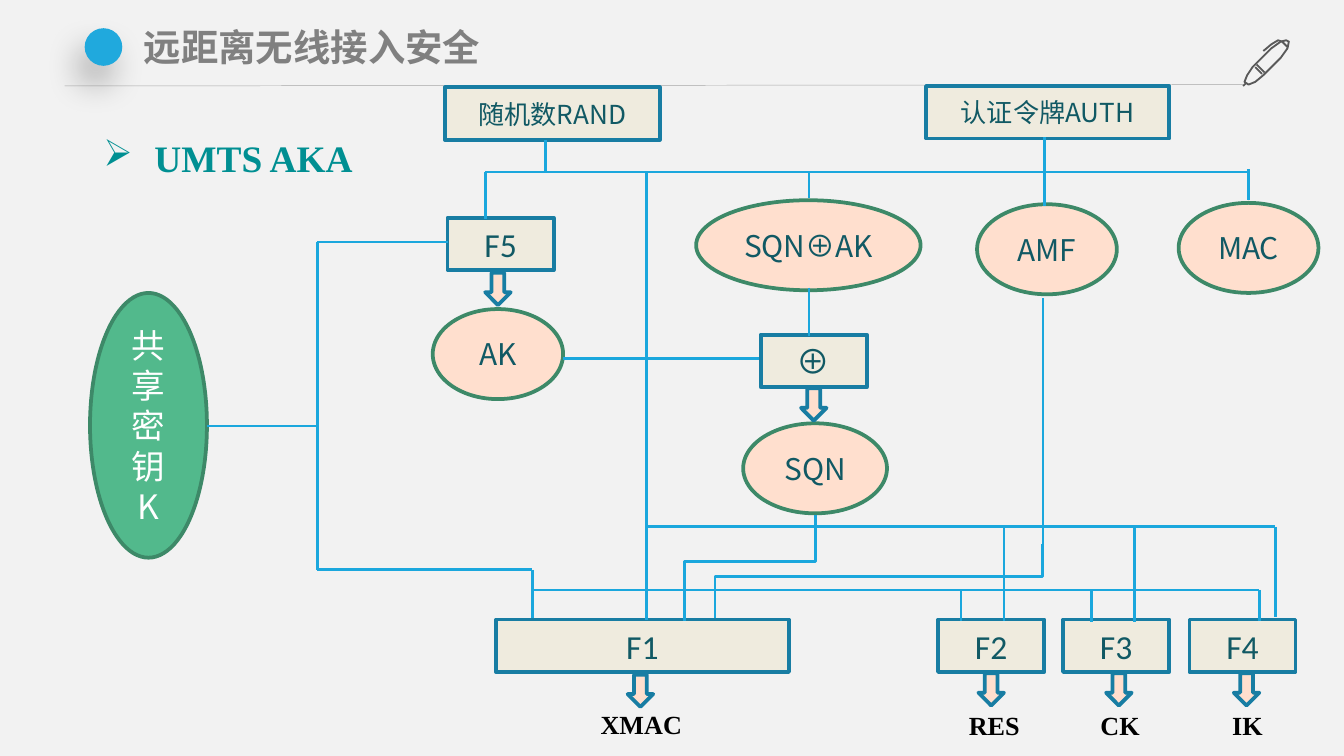
from lxml import etree
from pptx import Presentation
from pptx import util as u
from pptx.dml.color import RGBColor
from pptx.enum import shapes, text
from pptx.oxml import parse_xml
from pptx.oxml.ns import nsdecls, qn

SANS, SERIF, LATIN = "Noto Sans CJK SC", "Times New Roman", "Calibri"
WIRE, INK, PEACH, SAND = "1BA7DD", "115964", "FFDFCE", "EFEBDE"
GREEN, BLUE = "3D8968", "187DA3"
ELLIPSE, RECT, ARROW = (shapes.MSO_SHAPE.OVAL, shapes.MSO_SHAPE.RECTANGLE,
                        shapes.MSO_SHAPE.DOWN_ARROW)


def rgb(value):
    """Turn a hex string into a colour."""
    return RGBColor.from_string(value)


def inches(*values):
    """Turn numbers into lengths."""
    return [u.Inches(v) for v in values]


def apply(obj, values):
    """Set each attribute named in a dict."""
    for name, value in values.items():
        setattr(obj, name, value)


def write(tf, lines, size, face, color, bold=False, align=None):
    """Fill a text frame with paragraphs of one format."""
    for i, line in enumerate(lines):
        p = tf.paragraphs[0] if i == 0 else tf.add_paragraph()
        p.alignment = align
        r = p.add_run()
        r.text = line
        apply(r.font, {"size": u.Pt(size), "name": face, "bold": bold})
        r.font.color.rgb = rgb(color)
        etree.SubElement(r.font._element, qn("a:ea"), typeface=face)


def add_node(s, kind, box, fill, line=None, lines=(), size=16, face=SANS, color=INK):
    """Add a filled shape with centred text."""
    sp = s.shapes.add_shape(kind, *inches(*box))
    sp.shadow.inherit = False
    sp.fill.solid()
    sp.fill.fore_color.rgb = rgb(fill)
    if line:
        sp.line.color.rgb = rgb(line)
        sp.line.width = u.Pt(2)
    else:
        sp.line.fill.background()
    sp.text_frame.vertical_anchor = text.MSO_ANCHOR.MIDDLE
    write(sp.text_frame, lines, size, face, color, align=text.PP_ALIGN.CENTER)
    return sp


def add_label(s, box, label, size, color, wrap):
    """Add a bold serif text box."""
    tf = s.shapes.add_textbox(*inches(*box)).text_frame
    apply(tf, {"word_wrap": wrap, "auto_size": text.MSO_AUTO_SIZE.SHAPE_TO_FIT_TEXT})
    write(tf, [label], size, SERIF, color, bold=True)
    return tf


def add_wire(s, x1, y1, x2, y2, color=WIRE, width=1.5,
             kind=shapes.MSO_CONNECTOR.STRAIGHT):
    """Add a connector between two points."""
    sp = s.shapes.add_connector(kind, *inches(x1, y1, x2, y2))
    sp.line.color.rgb = rgb(color)
    sp.line.width = u.Pt(width)
    etree.SubElement(sp._element.spPr, qn("a:effectLst"))
    return sp


def add_elbow(s, x1, y1, x2, y2, bend):
    """Add an elbow that rises from its start, with its box turned a quarter."""
    cx, cy, dx, dy = (x1 + x2) / 2, (y1 + y2) / 2, (x2 - x1) / 2, (y1 - y2) / 2
    sp = add_wire(s, cx + dy, cy + dx, cx - dy, cy - dx,
                  kind=shapes.MSO_CONNECTOR.ELBOW)
    sp._element.spPr.find(qn("a:xfrm")).set("rot", "5400000")
    guides = sp._element.spPr.find(qn("a:prstGeom")).find(qn("a:avLst"))
    etree.SubElement(guides, qn("a:gd"), name="adj1", fmla=f"val {round(bend * 100000)}")


def add_pen(s):
    """Add the pen outline, drawn in hundredths of an inch."""
    strokes = [
        [(939, 55), (934, 50)],
        [(935, 48), (941, 54)],
        [(959, 31), (957, 30), (953, 31), (946, 36), (939, 43), (932, 50),
         (928, 56), (926, 61), (929, 63), (934, 61), (940, 56), (946, 50),
         (953, 43), (958, 36), (959, 31)],
        [(927, 62), (925, 64)],
        [(958, 35), (954, 31), (951, 30), (946, 33), (940, 38)],
    ]
    pen = s.shapes.build_freeform(*strokes[0][0], scale=u.Inches(0.01))
    for i, stroke in enumerate(strokes):
        if i:
            pen.move_to(*stroke[0])
        pen.add_line_segments(stroke[1:], close=False)
    sp = pen.convert_to_shape()
    sp.shadow.inherit = False
    sp.fill.background()
    sp.line.color.rgb = rgb("595959")
    sp.line.width = u.Pt(1)


def add_header(s):
    """Format the title and add the header decoration."""
    title = s.shapes.title
    apply(title, dict(zip(("left", "top", "width", "height"),
                          inches(0.98, 0.14, 8.27, 0.43))))
    tf = title.text_frame
    apply(tf, {"vertical_anchor": text.MSO_ANCHOR.TOP, "word_wrap": True,
               "auto_size": text.MSO_AUTO_SIZE.NONE,
               "margin_left": u.Inches(0.09), "margin_right": u.Inches(0.09),
               "margin_top": u.Inches(0.04), "margin_bottom": u.Inches(0.04)})
    write(tf, ["远距离无线接入安全"], 20, SANS, "808080", True, text.PP_ALIGN.LEFT)
    add_wire(s, 0.48, 0.64, 9.25, 0.63, "A6A6A6", 0.25)
    add_pen(s)
    dot = add_node(s, ELLIPSE, (0.63, 0.21, 0.28, 0.28), "20A9DD")
    dot._element.spPr.find(qn("a:effectLst")).append(parse_xml(
        f'<a:outerShdw {nsdecls("a")} blurRad="228600" dist="139700" dir="6780000">'
        '<a:srgbClr val="000000"><a:alpha val="27000"/></a:srgbClr></a:outerShdw>'))


def add_topic(s):
    """Add the bulleted topic line."""
    p = add_label(s, (0.67, 0.86, 8.98, 1.51), "UMTS AKA", 20, "008F92", True).paragraphs[0]
    apply(p, {"line_spacing": 1.3, "space_after": u.Pt(3)})
    pPr = p._p.get_or_add_pPr()
    pPr.set("marL", str(u.Inches(0.38)))
    pPr.set("indent", str(u.Inches(-0.38)))
    etree.SubElement(pPr, qn("a:buChar"), char="➢")


def add_nodes(s):
    """Add the key, fields, functions, flow arrows and output labels."""
    add_node(s, ELLIPSE, (0.67, 2.18, 0.87, 1.97), "52B98C", GREEN,
             ["共享密钥", "K"], 18, color="FFFFFF")
    for name, x, y, w in [("AK", 3.22, 2.3, 0.97), ("SQN⊕AK", 5.18, 1.49, 1.67),
                          ("AMF", 7.27, 1.52, 1.04), ("MAC", 8.77, 1.51, 1.04),
                          ("SQN", 5.53, 3.15, 1.07)]:
        add_node(s, ELLIPSE, (x, y, w, 0.67), PEACH, GREEN, [name])
    for name, x, y, w, size, face in [
            ("F5", 3.33, 1.62, 0.79, 18, LATIN), ("⊕", 5.66, 2.49, 0.79, 18, SANS),
            ("F1", 3.69, 4.61, 2.18, 18, LATIN), ("F2", 6.98, 4.61, 0.79, 18, LATIN),
            ("F3", 7.91, 4.61, 0.79, 18, LATIN), ("F4", 8.85, 4.61, 0.79, 18, LATIN),
            ("随机数RAND", 3.31, 0.65, 1.6, 14, SANS),
            ("认证令牌AUTH", 6.89, 0.64, 1.81, 14, SANS)]:
        add_node(s, RECT, (x, y, w, 0.39), SAND, BLUE, [name], size, face)
    for x, y in [(3.61, 2.03), (5.96, 2.89), (4.67, 5.02),
                 (7.28, 5.01), (8.23, 5.01), (9.18, 5.01)]:
        add_node(s, ARROW, (x, y, 0.19, 0.24), PEACH, BLUE)
    for name, x, y, w in [("XMAC", 4.37, 5.22, 0.81), ("RES", 7.11, 5.23, 0.58),
                          ("CK", 8.09, 5.23, 0.5), ("IK", 9.07, 5.23, 0.43)]:
        add_label(s, (x, y, w, 0.34), name, 14, "000000", False)


def add_wires(s):
    """Connect the nodes with buses, drops and elbows."""
    for y, x1, x2 in [(1.28, 3.61, 9.29), (1.8, 3.33, 2.36), (2.67, 4.19, 5.65),
                      (3.17, 2.36, 1.54), (3.92, 4.81, 9.49), (4.24, 3.96, 2.36),
                      (4.39, 3.96, 9.37)]:
        add_wire(s, x1, y, x2, y)
    for x, y1, y2 in [(2.36, 1.8, 4.24), (4.81, 1.28, 4.61), (4.06, 1.04, 1.28),
                      (3.61, 1.28, 1.63), (6.02, 1.28, 1.47), (6.02, 2.14, 2.5),
                      (7.77, 1.02, 1.53), (9.29, 1.26, 1.49), (7.76, 2.22, 4.11),
                      (3.96, 4.24, 4.6), (7.15, 4.39, 4.62), (8.12, 4.39, 4.63),
                      (9.37, 4.39, 4.62), (7.47, 3.92, 4.62), (8.44, 3.92, 4.63),
                      (9.49, 3.92, 4.59)]:
        add_wire(s, x, y1, x, y2)
    add_elbow(s, 5.09, 4.62, 6.07, 3.83, 0.56)
    add_elbow(s, 5.32, 4.6, 7.76, 4.05, 0.56)


def main():
    """Build the slide and save it."""
    prs = Presentation()
    width = u.Inches(10)
    apply(prs, {"slide_width": width, "slide_height": width * 9 // 16})
    s = prs.slides.add_slide(prs.slide_layouts[5])
    s.background.fill.solid()
    s.background.fill.fore_color.rgb = rgb("F2F2F2")
    add_header(s)
    add_topic(s)
    add_nodes(s)
    add_wires(s)
    prs.save("out.pptx")


if __name__ == "__main__":
    main()
